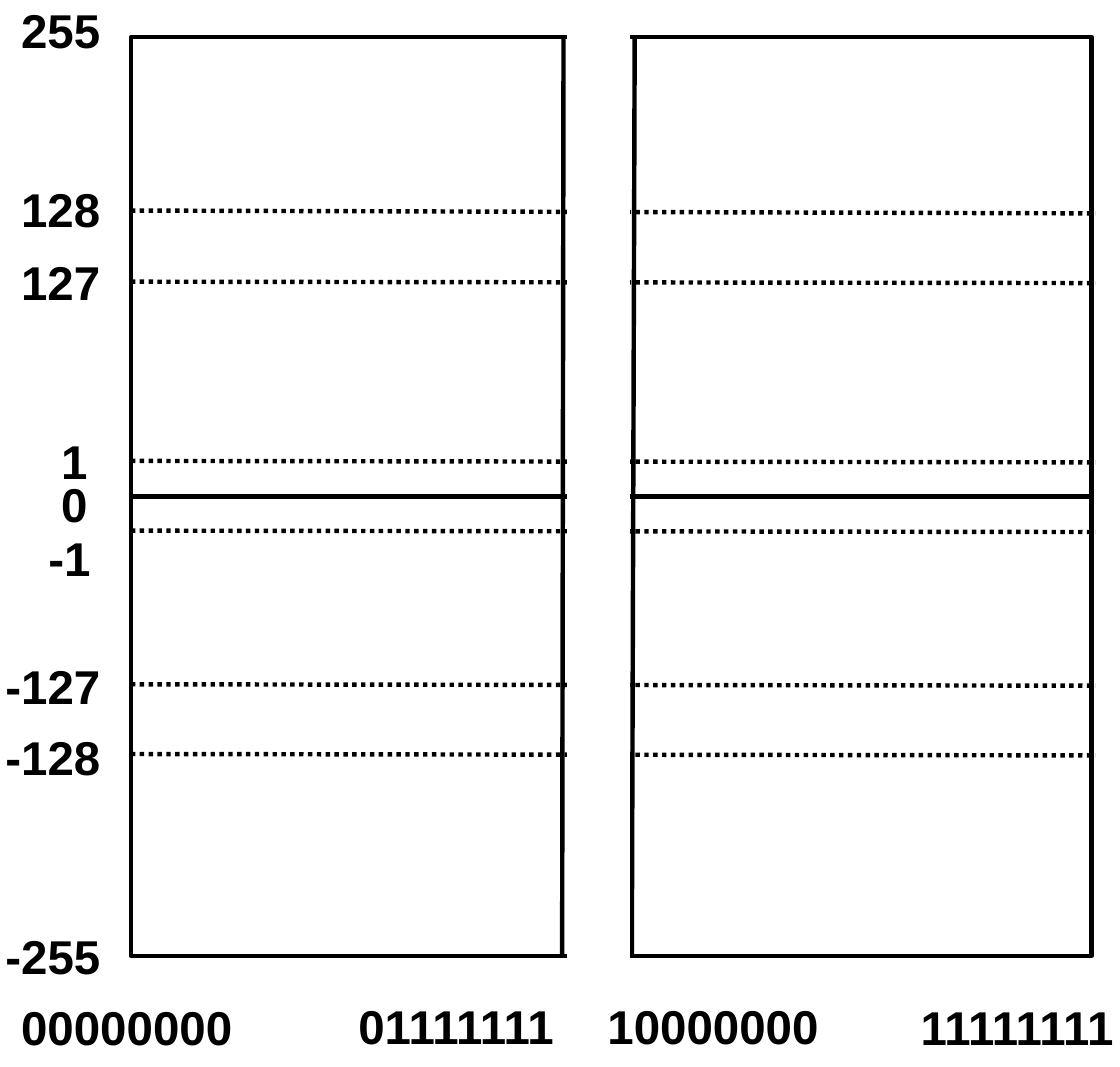
from pptx import Presentation
from pptx import util as u
from pptx.dml.color import RGBColor
from pptx.enum import dml, shapes, text
from lxml import etree

PX = 9144
SLIDE = (787, 750)
COLORS = {"ink": "000000", "paper": "FFFFFF"}
FRAME = (92, 26, 675, 646)
GAP = (399, 22, 43, 664)
GAP_EDGES = [(395, 396), (444, 446)]
DOTTED_RIGHT = 770
DOTTED_LEVELS = [(148, 150), (198, 199), (324, 325), (373, 374), (481, 482), (530, 531)]
LABEL_WIDTH, CODE_WIDTH, TEXT_HEIGHT = 87, 175, 50
INSET_X, INSET_Y = 10, 5
LEVEL_LABELS = [
    ("255", 5, -4, 0),
    ("128", 5, 122, 0),
    ("127", 5, 173, 0),
    ("1", 5, 299, 28),
    ("0", 5, 329, 28),
    ("-1", 5, 367, 19),
    ("-127", -6, 457, 0),
    ("-128", -6, 507, 0),
    ("-255", -6, 647, 0),
]
CODES = [
    ("00000000", 5, 697),
    ("01111111", 242, 696),
    ("10000000", 417, 696),
    ("11111111", 637, 697),
]


def px(*lengths):
    return [u.Emu(length * PX) for length in lengths]


def color(name):
    return RGBColor.from_string(COLORS[name])


def add_panel(page, bounds, outline, weight):
    panel = page.shapes.add_shape(shapes.MSO_SHAPE.RECTANGLE, *px(*bounds))
    panel.shadow.inherit = False
    panel.fill.solid()
    panel.fill.fore_color.rgb = color("paper")
    panel.line.color.rgb = color(outline)
    panel.line.width = u.Pt(weight)
    return panel


def add_line(page, x1, y1, x2, y2, dotted=False):
    line = page.shapes.add_connector(shapes.MSO_CONNECTOR.STRAIGHT, *px(x1, y1, x2, y2))
    line.line.color.rgb = color("ink")
    line.line.width = u.Pt(2.25)
    if dotted:
        line.line.dash_style = dml.MSO_LINE.ROUND_DOT
    properties = line.line._get_or_add_ln().getparent()
    namespace = properties.nsmap["a"]
    etree.SubElement(properties, f"{{{namespace}}}effectLst")
    return line


def add_label(page, words, left, top, width, indent=0):
    box = page.shapes.add_textbox(*px(left, top, width, TEXT_HEIGHT))
    frame = box.text_frame
    frame.word_wrap = True
    frame.auto_size = text.MSO_AUTO_SIZE.SHAPE_TO_FIT_TEXT
    frame.margin_left, frame.margin_right = px(INSET_X + indent, INSET_X)
    frame.margin_top, frame.margin_bottom = px(INSET_Y, INSET_Y)
    para = frame.paragraphs[0]
    para.text = words
    para.font.name = "Arial"
    para.font.size = u.Pt(24)
    para.font.bold = True
    para.font.color.rgb = color("ink")


def main():
    deck = Presentation()
    deck.slide_width, deck.slide_height = px(*SLIDE)
    page = deck.slides.add_slide(deck.slide_layouts[6])

    left, top, width, height = FRAME
    right, bottom, middle = left + width, top + height, top + height // 2
    chart_frame = add_panel(page, FRAME, "ink", 2.25)
    zero_line = add_line(page, left, middle, right, middle)
    zero_line.begin_connect(chart_frame, 1)
    zero_line.end_connect(chart_frame, 3)

    for start, end in DOTTED_LEVELS:
        add_line(page, left, start, DOTTED_RIGHT, end, dotted=True)
    for words, x, y, indent in LEVEL_LABELS:
        add_label(page, words, x, y, LABEL_WIDTH, indent)
    for words, x, y in CODES:
        add_label(page, words, x, y, CODE_WIDTH)
    for lower, upper in GAP_EDGES:
        add_line(page, lower, bottom, upper, top)
    add_panel(page, GAP, "paper", 1)

    deck.save("out.pptx")


if __name__ == "__main__":
    main()
